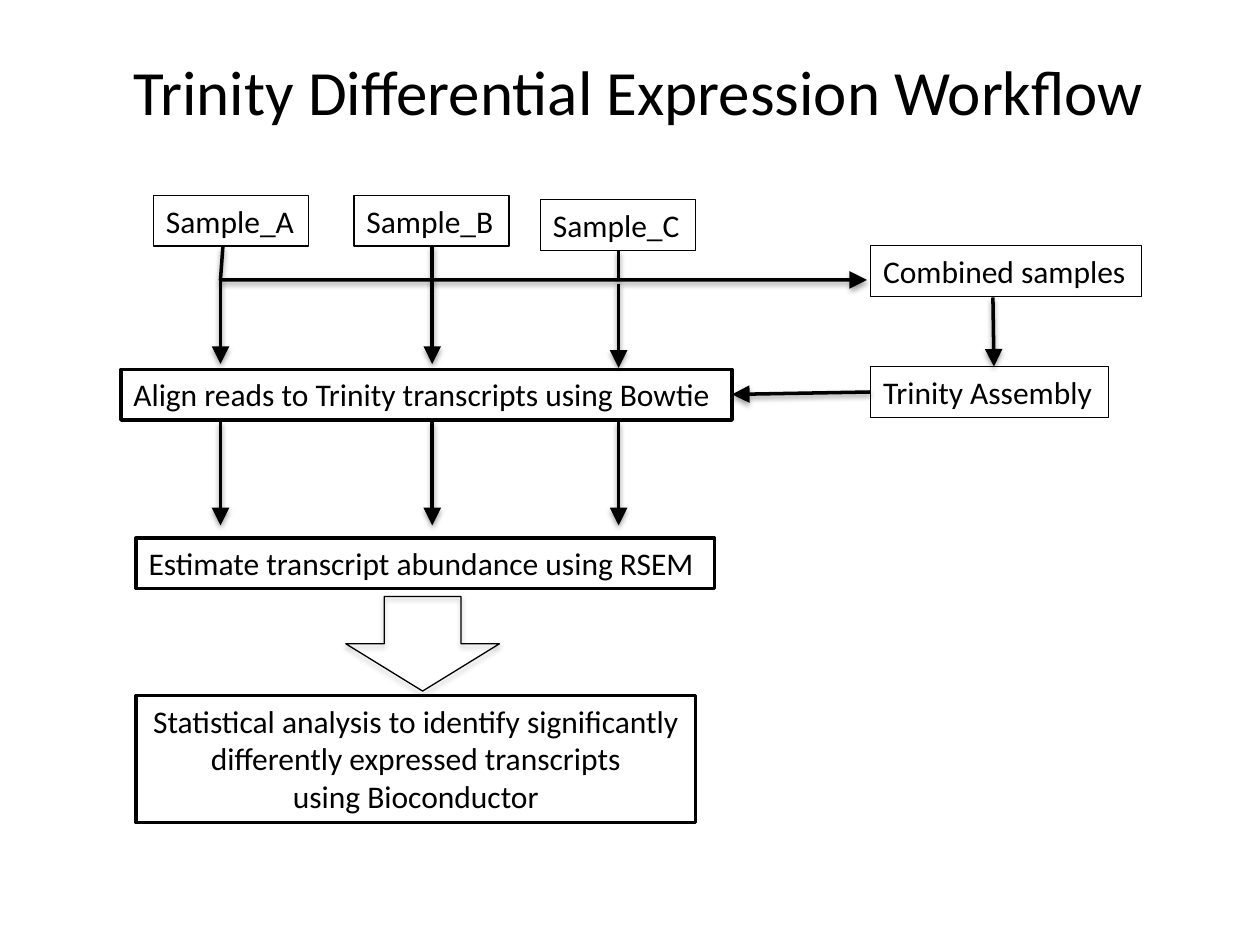
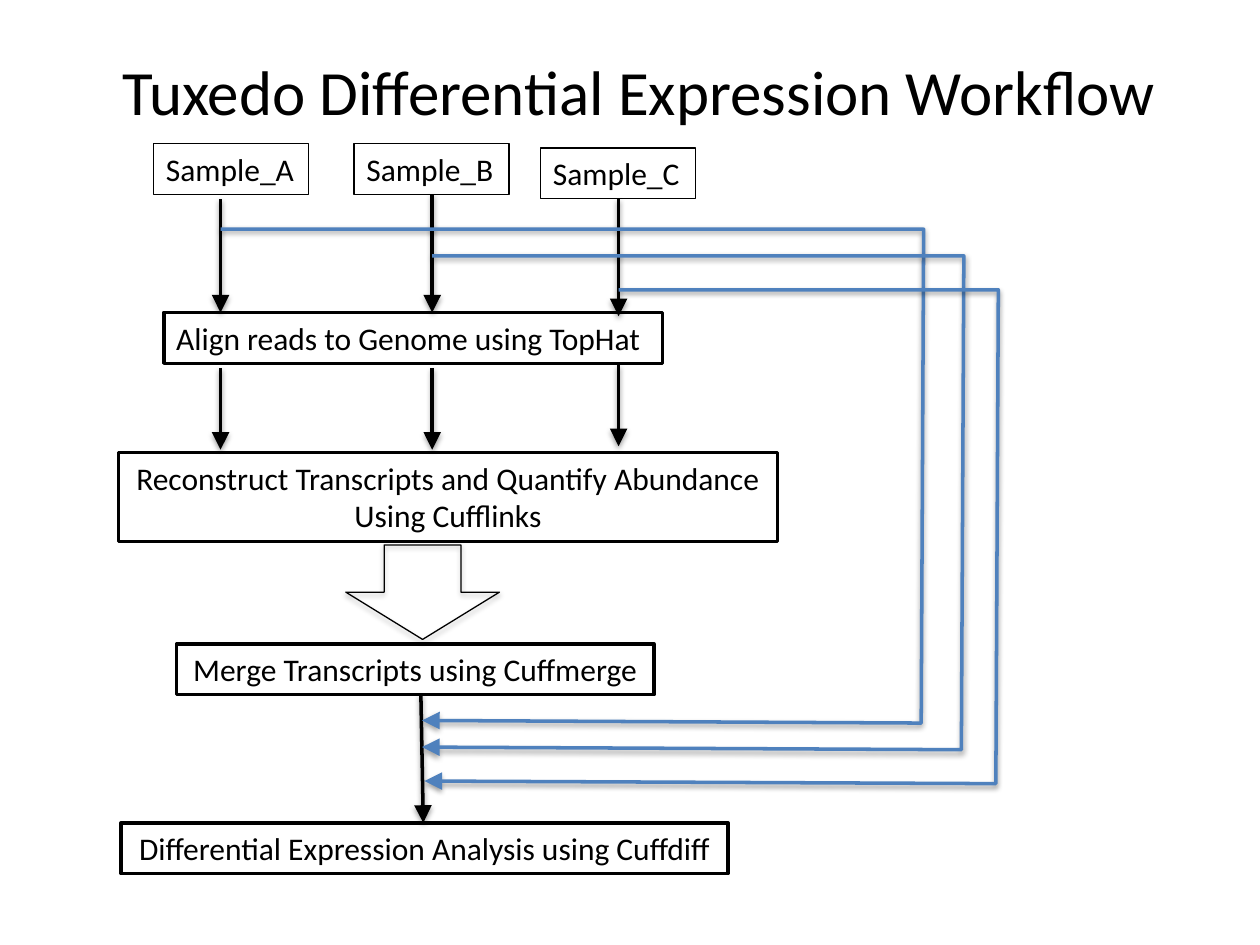
from lxml.etree import SubElement
from pptx import Presentation
from pptx.dml.color import RGBColor
from pptx.enum.shapes import MSO_CONNECTOR as Connector, MSO_SHAPE as Preset
from pptx.enum.text import MSO_ANCHOR as Anchor, MSO_AUTO_SIZE as AutoSize, PP_ALIGN as Align
from pptx.oxml import parse_xml
from pptx.oxml.ns import nsdecls, qn
from pptx.util import Pt

FONT = "Calibri"
BLACK, WHITE, BLUE = "000000", "FFFFFF", "4F81BD"
THIN, THICK = 0.75, 2
ROW = 29
TITLE_SIZE, BODY_SIZE = 36, 18
LANES = LANE_A, LANE_B, LANE_C = 126, 247, 353.5
SAMPLES = [("Sample_A", 87.8, 0), ("Sample_B", 202.3, 0), ("Sample_C", 308.9, 2.5)]


def color(hex_code):
    return RGBColor.from_string(hex_code)


class Workflow:
    """Holds the style and the slide being drawn."""

    def __init__(self, deck):
        self.deck = deck
        self.page = None

    def new_page(self, title):
        self.page = self.deck.slides.add_slide(self.deck.slide_layouts[5])
        holder = self.page.shapes.title
        holder.left, holder.top, holder.width, holder.height = Pt(41), Pt(6.5), Pt(648), Pt(90)
        self.set_text(holder.text_frame, title, TITLE_SIZE, Align.CENTER, Anchor.MIDDLE)

    def set_text(self, frame, text, size, align, anchor):
        frame.text = text
        frame.word_wrap = True
        frame.vertical_anchor = anchor
        for para in frame.paragraphs:
            para.alignment = align
            for span in para.runs:
                span.font.name = FONT
                span.font.size = Pt(size)
                span.font.color.rgb = color(BLACK)

    def outline(self, shape, weight, line_color=BLACK):
        shape.line.color.rgb = color(line_color)
        shape.line.width = Pt(weight)

    def add_shadow(self, shape, opacity=38, distance=1.6):
        shape.element.spPr.append(parse_xml(
            f'<a:effectLst {nsdecls("a")}><a:outerShdw blurRad="{Pt(3.1)}" '
            f'dist="{Pt(distance)}" dir="5400000" rotWithShape="0">'
            f'<a:srgbClr val="{BLACK}"><a:alpha val="{opacity * 1000}"/></a:srgbClr>'
            '</a:outerShdw></a:effectLst>'))

    def add_head(self, shape):
        line = shape.element.spPr.find(qn("a:ln"))
        SubElement(line, qn("a:tailEnd"), type="triangle", w="lg", len="lg")

    def box(self, text, left, top, width, height=ROW, weight=THICK, align=Align.LEFT):
        box = self.page.shapes.add_shape(Preset.RECTANGLE, Pt(left), Pt(top), Pt(width), Pt(height))
        box.shadow.inherit = False
        if weight == THICK:
            box.fill.solid()
            box.fill.fore_color.rgb = color(WHITE)
        else:
            box.fill.background()
        self.outline(box, weight)
        self.set_text(box.text_frame, text, BODY_SIZE, align, Anchor.TOP)
        box.text_frame.auto_size = AutoSize.SHAPE_TO_FIT_TEXT

    def samples(self, top):
        for name, left, drop in SAMPLES:
            self.box(name, left, top + drop, 88.6, weight=THIN)

    def line(self, x1, y1, x2, y2, head=True):
        line = self.page.shapes.add_connector(Connector.STRAIGHT, Pt(x1), Pt(y1), Pt(x2), Pt(y2))
        self.outline(line, THICK)
        if head:
            self.add_head(line)
        self.add_shadow(line)

    def lane_arrows(self, *spans):
        """Draw one downward arrow in each sample lane, given (top, bottom) pairs."""
        for x, (top, bottom) in zip(LANES, spans):
            self.line(x, top, x, bottom)

    def route(self, points, line_color):
        """Draw an open bent line that ends in an arrowhead."""
        start, *others = [(Pt(x), Pt(y)) for x, y in points]
        builder = self.page.shapes.build_freeform(*start)
        builder.add_line_segments(others, close=False)
        route = builder.convert_to_shape()
        route.fill.background()
        self.outline(route, THICK, line_color)
        self.add_head(route)
        self.add_shadow(route)

    def loop(self, start, top, right, end):
        """Carry a sample lane around the right side to the final step."""
        bottom = top + 282.2
        self.route([(start, top), (right, top), (right - 1.4, bottom), (end, bottom - 1.5)], BLUE)

    def block_arrow(self, top):
        arrow = self.page.shapes.add_shape(Preset.DOWN_ARROW, Pt(197.6), Pt(top), Pt(87.8), Pt(54))
        arrow.fill.background()
        self.outline(arrow, THIN)
        self.add_shadow(arrow, opacity=35, distance=1.8)


def draw_trinity(flow):
    flow.new_page("Trinity Differential Expression Workflow")
    flow.box("Align reads to Trinity transcripts using Bowtie", 69.1, 211, 349.2)
    flow.box("Estimate transcript abundance using RSEM", 77.8, 307.4, 330.5)
    flow.box("Statistical analysis to identify significantly\v"
             "differently expressed transcripts\vusing Bioconductor",
             77.8, 397.4, 319.7, 72.7, align=Align.CENTER)
    flow.samples(111.6)
    flow.box("Trinity Assembly", 497.5, 209.5, 136.1, weight=THIN)
    flow.box("Combined samples", 497.5, 140.4, 154.8, weight=THIN)

    flow.route([(127.4, 141), (LANE_A, 160), (495.4, 160)], BLACK)
    flow.line(LANE_B, 140.4, LANE_B, 160, head=False)
    flow.line(LANE_C, 143.3, LANE_C, 160, head=False)
    flow.line(567.4, 170, 568, 209.5)
    flow.line(497.5, 224, 418.3, 225.4)
    flow.lane_arrows((160, 208), (160.6, 208), (162, 210.2))
    flow.lane_arrows(*[(241.2, 300.2)] * 3)
    flow.block_arrow(340.9)


def draw_tuxedo(flow):
    flow.new_page("Tuxedo Differential Expression Workflow")
    flow.box("Align reads to Genome using TopHat", 93.6, 178.6, 285.1)
    flow.box("Reconstruct Transcripts and Quantify Abundance\nUsing Cufflinks",
             67.7, 258.5, 376.6, 51, align=Align.CENTER)
    flow.box("Merge Transcripts using Cuffmerge", 100.8, 368, 272.9, align=Align.CENTER)
    flow.samples(82)

    flow.line(LANE_B, 111, LANE_B, 130.5, head=False)
    flow.lane_arrows((113.8, 178.6), (130.5, 178.6), (113.8, 180.7))
    flow.lane_arrows((210.2, 257), (210.2, 257), (208.8, 255))
    flow.block_arrow(311.4)
    flow.box("Differential Expression Analysis using Cuffdiff", 69.1, 470.2, 347, align=Align.CENTER)
    flow.line(240.5, 396.7, 241.9, 470.2)
    flow.loop(LANE_A, 131, 527.8, 241.2)
    flow.loop(LANE_B, 146.2, 550.8, 241.2)
    flow.loop(LANE_C, 165.6, 570.5, 242.6)


def main():
    deck = Presentation()
    deck.slide_width, deck.slide_height = Pt(720), Pt(540)
    flow = Workflow(deck)
    draw_trinity(flow)
    draw_tuxedo(flow)
    deck.save("out.pptx")


if __name__ == "__main__":
    main()
